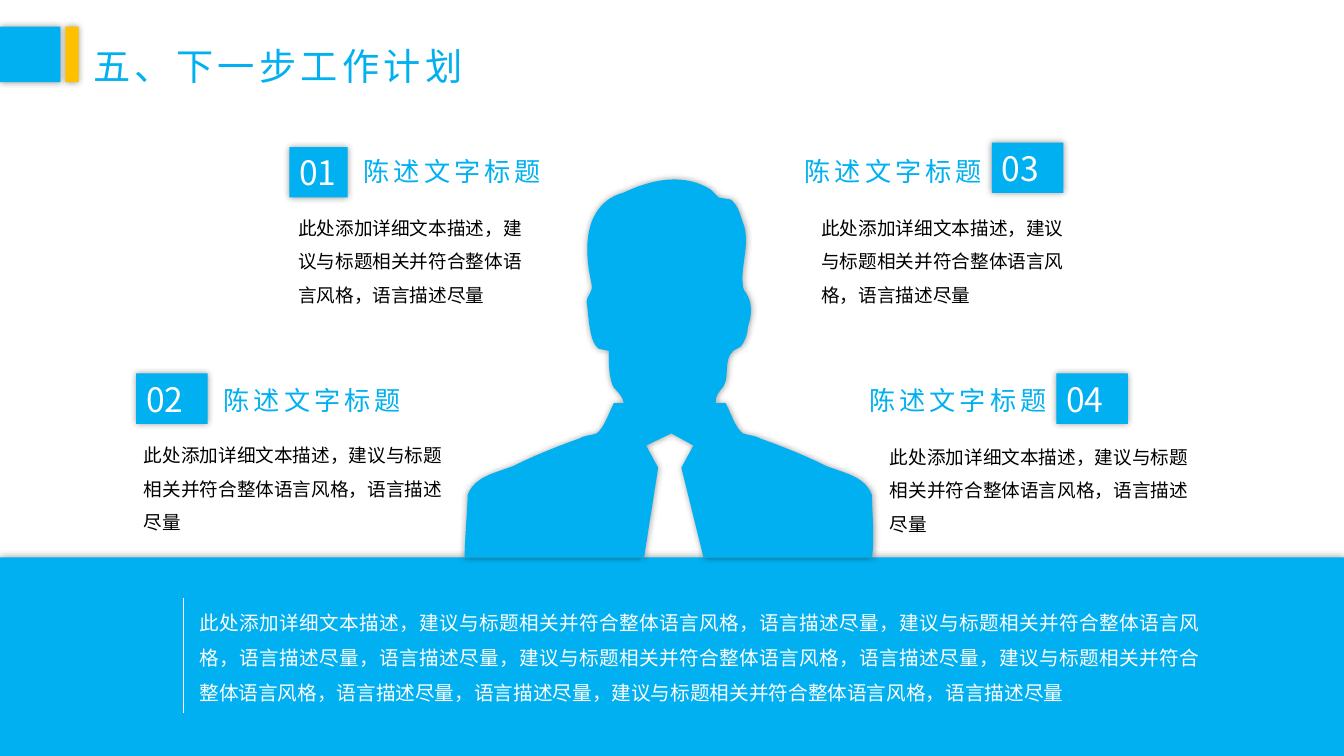
"""Builds a work plan slide with four points around a portrait outline."""
import lxml.etree
import pptx
import pptx.dml.color
import pptx.enum.shapes
import pptx.enum.text
import pptx.oxml.ns
import pptx.util

RGB = pptx.dml.color.RGBColor
BLUE = RGB(0x00, 0xB0, 0xF0)
GOLD = RGB(0xFF, 0xC0, 0x00)
WHITE = RGB(0xFF, 0xFF, 0xFF)
BLACK = RGB(0x00, 0x00, 0x00)
FACE = "Noto Sans CJK SC"
CELL = pptx.util.Inches(0.1)
COLS, ROWS = 133.33, 75
ALIGN = pptx.enum.text.PP_ALIGN
ANCHOR = pptx.enum.text.MSO_ANCHOR
qn = pptx.oxml.ns.qn

CLAUSE = "语言描述尽量"
ADVICE = "建议与标题相关并符合整体语言风格，" + CLAUSE
BODY = "此处添加详细文本描述，" + ADVICE
LONG = "，".join([BODY, ADVICE, CLAUSE, ADVICE, ADVICE, CLAUSE, ADVICE])
POINTS = [
    ("01", (28.6, 19.9, 25.9), (28.7, 14.6, 5.8), 14.9, False),
    ("02", (13.3, 42.45, 32.3), (13.5, 37.05, 7.1), 37.6, False),
    ("03", (80.5, 19.9, 26.5), (98.4, 14.15, 7.1), 14.9, True),
    ("04", (87.3, 42.6, 32.8), (104.8, 37.05, 7.1), 37.6, True),
]

SPAN, DEPTH = 407, 385
SIDE = [
    (404, 385), (407, 368), (404, 336), (404, 323), (397, 304), (375, 301),
    (358, 294), (338, 284), (313, 274), (293, 267), (289, 264), (281, 264),
    (276, 262), (269, 257), (264, 242), (259, 232), (256, 232), (252, 232),
    (249, 232),
]
HEAD = [
    (249, 220), (256, 220), (259, 210), (261, 200), (259, 190), (264, 183),
    (266, 178), (274, 178), (276, 173), (279, 168), (281, 161), (281, 156),
    (284, 148), (286, 136), (281, 126), (279, 121), (276, 121), (276, 114),
    (274, 106), (279, 82), (279, 74), (279, 62), (279, 60), (274, 47),
    (274, 47), (271, 35), (264, 30), (252, 28), (252, 28), (252, 28),
    (244, 20), (244, 20), (244, 20), (212, 0), (175, 15), (158, 23),
    (131, 30), (113, 57), (126, 114), (128, 121), (121, 126), (121, 131),
    (123, 143), (123, 171), (133, 178), (133, 178), (143, 180), (143, 180),
    (143, 190), (143, 203), (146, 212), (148, 220), (155, 220),
]
TIE = [(178, 385), (192, 296), (180, 274), (205, 262),
       (227, 274), (215, 296), (237, 385)]


def grid(*cells):
    """Turn grid cells into lengths."""
    return [round(cell * CELL) for cell in cells]


def paint(shape, color):
    """Fill a shape and give it a soft shadow."""
    shape.fill.solid()
    shape.fill.fore_color.rgb = color
    shape.line.fill.background()
    shape.shadow.inherit = False
    glow = lxml.etree.SubElement(
        shape.element.spPr.find(qn("a:effectLst")), qn("a:outerShdw"),
        blurRad="63500", dist="0", dir="0", algn="ctr", rotWithShape="0")
    tint = lxml.etree.SubElement(glow, qn("a:srgbClr"), val="000000")
    lxml.etree.SubElement(tint, qn("a:alpha"), val="40000")


def block(slide, box, color):
    """Add a filled rectangle."""
    kind = pptx.enum.shapes.MSO_SHAPE.RECTANGLE
    shape = slide.shapes.add_shape(kind, *grid(*box))
    paint(shape, color)
    return shape


def write(shape, words, size, color, wrap=True, lead=None, space=None,
          align=ALIGN.LEFT, anchor=ANCHOR.TOP):
    """Put one styled paragraph into a shape."""
    frame = shape.text_frame
    fit = pptx.enum.text.MSO_AUTO_SIZE.SHAPE_TO_FIT_TEXT
    look = {"word_wrap": wrap, "auto_size": fit, "vertical_anchor": anchor}
    for name, value in look.items():
        setattr(frame, name, value)
    para = frame.paragraphs[0]
    para.alignment = align
    para.line_spacing = lead
    run = para.add_run()
    run.text = words
    for name, value in {"size": pptx.util.Pt(size), "name": FACE}.items():
        setattr(run.font, name, value)
    run.font.color.rgb = color
    props = run.font._element
    lxml.etree.SubElement(props, qn("a:ea"), typeface=FACE)
    if space:
        props.set("spc", str(space * 100))


def label(slide, box, *args, **style):
    """Add a text box."""
    write(slide.shapes.add_textbox(*grid(*box)), *args, **style)


def header(slide, box):
    """Draw the slide title with its two marks."""
    left, top, width, height = box
    label(slide, (left + 8.3, top - 0.7, width - 8.3, height + 1.4),
          "五、下一步工作计划", 26.6, BLUE, wrap=False, lead=1.5, space=3,
          anchor=ANCHOR.MIDDLE)
    block(slide, (left, top, 6, height), BLUE)
    block(slide, (left + 6.5, top, 1.3, height), GOLD)


def bend(shape, count):
    """Join the first segments of an outline, three by three, into curves."""
    lines = list(shape.element.iter(qn("a:lnTo")))[:count]
    for i in range(0, count, 3):
        first, *rest = lines[i:i + 3]
        first.tag = qn("a:cubicBezTo")
        for line in rest:
            first.append(line[0])
            line.getparent().remove(line)


def figure(slide, box):
    """Draw the outline of a person in a suit."""
    left, top, width, height = grid(*box)
    twin = [(SPAN - x, y) for x, y in reversed(SIDE[1:])]
    curves = SIDE + HEAD + twin + [(0, DEPTH)]
    spots = [(left + x * width / SPAN, top + y * height / DEPTH)
             for x, y in curves + TIE]
    draft = slide.shapes.build_freeform(*spots[0])
    draft.add_line_segments(spots[1:], close=True)
    shape = draft.convert_to_shape()
    bend(shape, len(curves) - 1)
    paint(shape, BLUE)


def point(slide, box, badge, number, head, right):
    """Draw a numbered badge with its heading and text."""
    left, top, width = box
    spot, level, size = badge
    write(block(slide, (spot, level, size, 5), BLUE), number, 24, WHITE,
          wrap=False)
    start = spot - 33 if right else spot + size + 0.6
    label(slide, (start, head, 33, 4.2), "陈述文字标题", 18.67, BLUE, space=3,
          align=ALIGN.RIGHT if right else ALIGN.LEFT)
    label(slide, (left, top, width, 11), BODY, 13.3, BLACK, lead=1.5)


def footer(slide, box):
    """Draw the text and its rule on the bottom band."""
    left, top, width, height = box
    x = left + 18.2
    kind = pptx.enum.shapes.MSO_CONNECTOR.STRAIGHT
    rule = slide.shapes.add_connector(kind, *grid(x, top + 4.1, x, top + 15.4))
    rule.line.color.rgb = WHITE
    rule.element.spPr.find(qn("a:ln")).set("w", "0")
    lxml.etree.SubElement(rule.element.spPr, qn("a:effectLst"))
    label(slide, (x + 0.6, top + 3.6, width - 32.1, height - 8.1), LONG, 14,
          WHITE, lead=1.5, align=ALIGN.JUSTIFY)


def main():
    """Build the slide and save it."""
    deck = pptx.Presentation()
    deck.slide_width, deck.slide_height = grid(COLS, ROWS)
    slide = deck.slides.add_slide(deck.slide_layouts[6])
    band = (0, 55.3, COLS, 19.7)
    header(slide, (0, 2.65, 47.6, 5.5))
    block(slide, band, BLUE)
    figure(slide, (46.1, 16.8, 40.7, 38.5))
    for number, box, badge, head, right in POINTS:
        point(slide, box, badge, number, head, right)
    footer(slide, band)
    deck.save("out.pptx")


if __name__ == "__main__":
    main()
